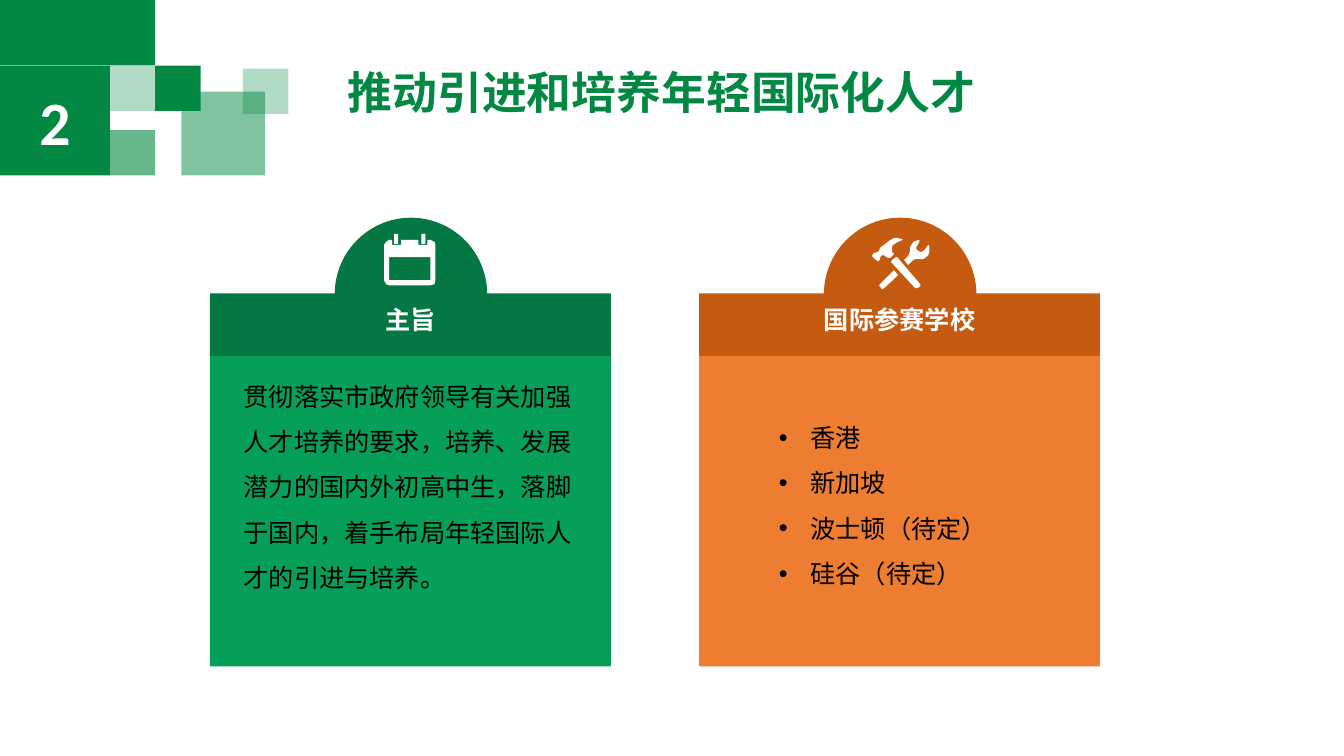
"""Build the slide on bringing in and training young international talent."""
import pptx
import pptx.util
import pptx.dml.color
import pptx.enum.shapes
import pptx.enum.text
import pptx.oxml
import pptx.oxml.ns
import lxml.etree

RGB = pptx.dml.color.RGBColor
GREEN = RGB(0x02, 0x88, 0x42)
DARK = RGB(0x04, 0x77, 0x43)
LEAF = RGB(0x05, 0x9F, 0x59)
RUST = RGB(0xC5, 0x5A, 0x11)
ORANGE = RGB(0xED, 0x7D, 0x31)
WHITE = RGB(0xFF, 0xFF, 0xFF)
BLACK = RGB(0, 0, 0)
KIND = pptx.enum.shapes.MSO_SHAPE
ALIGN = pptx.enum.text.PP_ALIGN
ANCHOR = pptx.enum.text.MSO_ANCHOR
Pt = pptx.util.Pt
qn = pptx.oxml.ns.qn

deck = pptx.Presentation()
deck.slide_width = pptx.util.Inches(13.33)
deck.slide_height = pptx.util.Inches(7.5)
col = deck.slide_width / 40
row = deck.slide_height / 22.5
dot = deck.slide_width / 1333
slide = deck.slides.add_slide(deck.slide_layouts[6])


def grid(x, y, wide, high):
    return [round(n) for n in (x * col, y * row, wide * col, high * row)]


def write(shape, lines, color, face, style, bullet=False):
    frame = shape.text_frame
    frame.word_wrap = True
    for i, line in enumerate(lines):
        para = frame.paragraphs[0] if i == 0 else frame.add_paragraph()
        if bullet:
            props = para._p.get_or_add_pPr()
            props.set("marL", "285750")
            props.set("indent", "-285750")
            lxml.etree.SubElement(props, qn("a:buFont")).set("typeface", "Arial")
            lxml.etree.SubElement(props, qn("a:buChar")).set("char", "•")
        for key, value in style.items():
            setattr(para, key, value)
        run = para.add_run()
        run.text = line
        for key, value in face.items():
            setattr(run.font, key, value)
        run.font.color.rgb = color


tiles = [
    (0, 0, 4.62, 1.95, GREEN, 100),
    (3.27, 1.95, 1.35, 1.35, GREEN, 30),
    (4.62, 1.95, 1.35, 1.35, GREEN, 100),
    (3.27, 3.87, 1.35, 1.35, GREEN, 60),
    (5.4, 2.73, 2.49, 2.49, GREEN, 50),
    (7.23, 2.04, 1.35, 1.35, GREEN, 30),
    (0, 1.95, 3.27, 3.27, GREEN, 100),
]
first, pitch, wide = 6.25, 14.56, 11.93
hues = [(DARK, LEAF), (RUST, ORANGE)]
parts = [(KIND.RECTANGLE, *tile) for tile in tiles]
for i, (deep, light) in enumerate(hues):
    left = first + i * pitch
    parts += [
        (KIND.OVAL, left + 3.71, 6.48, 4.54, 4.56, deep, 100),
        (KIND.RECTANGLE, left, 10.56, wide, 9.27, light, 100),
        (KIND.RECTANGLE, left, 8.73, wide, 1.86, deep, 100),
    ]

shapes = []
for kind, x, y, w, h, color, alpha in parts:
    shape = slide.shapes.add_shape(kind, *grid(x, y, w, h))
    shape.shadow.inherit = False
    shape.fill.solid()
    shape.fill.fore_color.rgb = color
    shape.line.fill.background()
    if alpha < 100:
        tint = shape.element.find(".//" + qn("a:srgbClr"))
        lxml.etree.SubElement(tint, qn("a:alpha")).set("val", str(alpha * 1000))
    shapes.append(shape)

badge = shapes[len(tiles) - 1]
badge.text_frame.vertical_anchor = ANCHOR.MIDDLE
write(badge, ["2"], WHITE, {"name": "Calibri", "size": Pt(44), "bold": True},
      {"alignment": ALIGN.CENTER})

title = slide.shapes.add_textbox(*grid(10.05, 1.95, 25.38, 1.8))
write(title, ["推动引进和培养年轻国际化人才"], GREEN,
      {"name": "Calibri", "size": Pt(32), "bold": True}, {"line_spacing": 0.9})

for i, name in enumerate(["主旨", "国际参赛学校"]):
    label = slide.shapes.add_textbox(*grid(first + i * pitch, 9.06, wide, 1))
    for side in ("left", "right", "top", "bottom"):
        setattr(label.text_frame, "margin_" + side, 0)
    write(label, [name], WHITE,
          {"name": "Noto Sans CJK SC", "size": Pt(18), "bold": True},
          {"alignment": ALIGN.CENTER})

aim = ["贯彻落实市政府领导有关加强人才培养的要求，培养、发展潜力的国内外初高中生，"
       "落脚于国内，着手布局年轻国际人才的引进与培养。"]
towns = ["香港", "新加坡", "波士顿（待定）", "硅谷（待定）"]
for place, lines, bullet in [
    ((6.96, 10.74, 11.07, 7.11), aim, False),
    ((22.89, 11.97, 8.52, 5.76), towns, True),
]:
    body = slide.shapes.add_textbox(*grid(*place))
    write(body, lines, BLACK, {"name": "Calibri", "size": Pt(18)},
          {"line_spacing": 1.5}, bullet)

page = [
    [(5, 6), (8, 6), (8, 11), (17, 11), (17, 6), (34, 6), (34, 11), (43, 11),
     (43, 6), (46, 6), (49.5, 7.5), (51, 11), (51, 46), (49.5, 49.5), (46, 51),
     (5, 51), (1.5, 49.5), (0, 46), (0, 11), (1.5, 7.5)],
    [(5, 23), (5, 46), (46, 46), (46, 23)],
] + [[(x, 0), (x + 4, 0), (x + 4, 10), (x, 10)] for x in (10, 37)]
tools = [
    [(9, 18), (11, 17), (13, 17.5), (16, 20), (17.5, 20), (22, 16), (20.5, 14),
     (20, 12), (20.5, 8), (24, 5), (28, 3), (31, 2.2), (29, 0.8), (25, 0),
     (22, 0.3), (17, 3), (12, 7), (8, 10), (7, 13), (6, 14), (2.5, 15),
     (0, 17.5), (4, 22), (6, 23), (8, 21.5), (8.5, 19.5)],
    [(25, 19), (24, 19), (20, 22), (19, 23.5), (43, 50), (45, 50), (48, 48),
     (48, 46)],
    [(57, 8), (56, 7), (55, 7.5), (53, 11), (51, 13), (49, 13.5), (46, 13),
     (44, 11), (44, 9), (45, 8), (47, 3.5), (47, 2), (46, 2), (41, 4.5),
     (38, 9), (38, 13), (36, 18), (32, 22), (36, 27), (41, 22), (43, 21),
     (46, 21), (51, 21), (54, 19), (56, 17), (57, 13)],
    [(8, 46), (7, 47.5), (8, 48.5), (10, 51), (12, 50.5), (26, 37), (22, 32)],
]
for x, y, loops in [(11.43, 6.96, page), (25.95, 7.08, tools)]:
    pen = slide.shapes.build_freeform(*loops[0][0], scale=dot)
    for i, loop in enumerate(loops):
        if i:
            pen.move_to(*loop[0])
        pen.add_line_segments(loop[1:], close=True)
    icon = pen.convert_to_shape(round(x * col), round(y * row))
    icon.shadow.inherit = False
    icon.fill.solid()
    icon.fill.fore_color.rgb = WHITE
    icon.line.fill.background()

deck.save("out.pptx")
